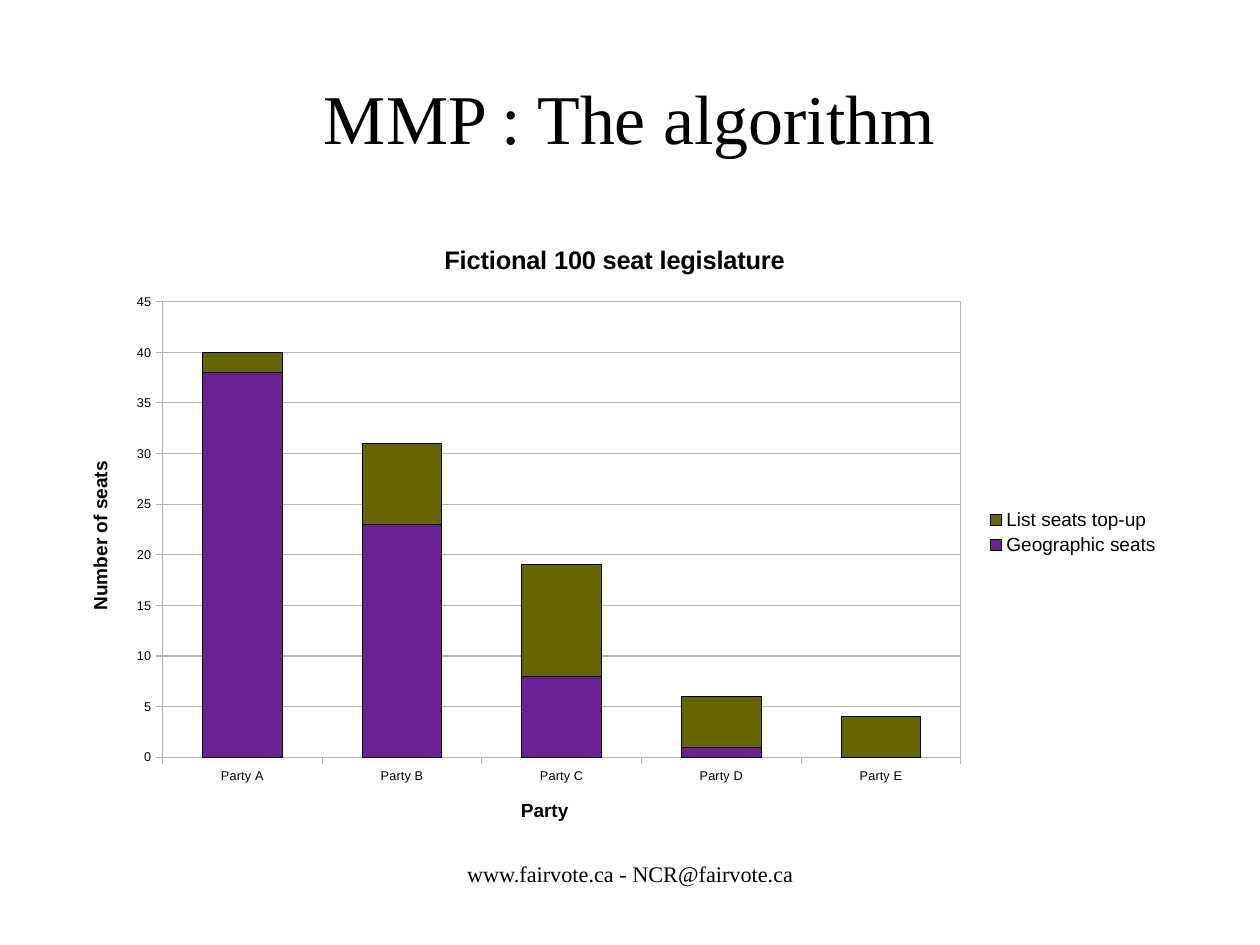
from lxml.etree import SubElement
from pptx import Presentation
from pptx.chart.data import CategoryChartData as Data
from pptx.dml.color import RGBColor
from pptx.enum.chart import XL_CHART_TYPE as Kind
from pptx.enum.chart import XL_LEGEND_POSITION as Side
from pptx.enum.chart import XL_TICK_MARK as Tick
from pptx.enum.text import MSO_ANCHOR as Anchor
from pptx.enum.text import PP_ALIGN as Align
from pptx.oxml import parse_xml
from pptx.oxml.ns import nsdecls, qn
from pptx.util import Inches, Pt

BLACK = RGBColor(0x00, 0x00, 0x00)
GREY = RGBColor(0xB3, 0xB3, 0xB3)
PURPLE = RGBColor(0x6B, 0x23, 0x94)
OLIVE = RGBColor(0x66, 0x66, 0x00)

PARTIES = ["Party A", "Party B", "Party C", "Party D", "Party E"]
SEATS = [
    ("Geographic seats", [38, 23, 8, 1, 0], PURPLE),
    ("List seats top-up", [2, 8, 11, 5, 4], OLIVE),
]


def set_font(font, size, name="Arial", bold=False):
    font.name, font.size, font.bold = name, Pt(size), bold
    font.color.rgb = BLACK


def set_line(line, color):
    line.color.rgb = color
    line.width = Pt(0)


def add_text(slide, box, text, size, anchor):
    frame = slide.shapes.add_textbox(*map(Inches, box)).text_frame
    frame.word_wrap = True
    frame.vertical_anchor = anchor
    frame.margin_left = frame.margin_right = 0
    frame.margin_top = frame.margin_bottom = 0
    par = frame.paragraphs[0]
    par.text = text
    par.alignment = Align.CENTER
    set_font(par.font, size, "Times New Roman")


def set_title(title, text, size):
    title.text_frame.text = text
    set_font(title.text_frame.paragraphs[0].font, size, bold=True)


def set_place(node, follower, **parts):
    """Place a chart part by fractions of the chart area."""
    for old in node.findall(qn("c:layout")):
        node.remove(old)
    layout = parse_xml(f"<c:layout {nsdecls('c')}/>")
    manual = SubElement(layout, qn("c:manualLayout"))
    if "w" in parts:
        SubElement(manual, qn("c:layoutTarget")).set("val", "inner")
    for key in ("x", "y"):
        SubElement(manual, qn(f"c:{key}Mode")).set("val", "edge")
    for key, val in parts.items():
        SubElement(manual, qn(f"c:{key}")).set("val", str(val))
    node.find(qn(follower)).addprevious(layout)


def set_axis(axis, text):
    set_title(axis.axis_title, text, 12)
    set_font(axis.tick_labels.font, 8)
    axis.major_tick_mark = Tick.OUTSIDE
    axis.minor_tick_mark = Tick.NONE
    set_line(axis.format.line, GREY)


def arrange(chart):
    root = chart.element
    plot = root.xpath(".//c:plotArea")[0]
    set_place(plot, "c:barChart", x=0.09, y=0.13, w=0.72, h=0.73)
    # Grey frame around the plot
    plot.append(parse_xml(
        f"<c:spPr {nsdecls('c', 'a')}><a:noFill/><a:ln w='0'><a:solidFill>"
        f"<a:srgbClr val='{GREY}'/></a:solidFill></a:ln></c:spPr>"))
    # Titles: chart, category axis, value axis
    spots = [(0.34, 0.03), (0.41, 0.92), (0.02, 0.38)]
    for node, (x, y) in zip(root.xpath(".//c:title"), spots):
        set_place(node, "c:overlay", x=x, y=y)
    body = root.xpath(".//c:valAx/c:title//a:bodyPr")[0]
    body.set("rot", "-5400000")
    body.set("vert", "horz")


def add_seats(slide, box):
    data = Data()
    data.categories = PARTIES
    for name, vals, _ in SEATS:
        data.add_series(name, vals)
    chart = slide.shapes.add_chart(
        Kind.COLUMN_STACKED, *map(Inches, box), data).chart
    set_font(chart.font, 10)
    set_title(chart.chart_title, "Fictional 100 seat legislature", 16)

    # Columns
    plot = chart.plots[0]
    plot.gap_width = plot.overlap = 100
    plot.vary_by_categories = False
    for series, (_, _, color) in zip(plot.series, SEATS):
        series.format.fill.solid()
        series.format.fill.fore_color.rgb = color
        set_line(series.format.line, BLACK)

    # Axes
    set_axis(chart.category_axis, "Party")
    axis = chart.value_axis
    set_axis(axis, "Number of seats")
    axis.minimum_scale, axis.maximum_scale, axis.major_unit = 0, 45, 5
    axis.has_major_gridlines = True
    set_line(axis.major_gridlines.format.line, GREY)

    # Legend
    chart.has_legend = True
    chart.legend.position = Side.RIGHT
    chart.legend.include_in_layout = False
    set_font(chart.legend.font, 12)
    arrange(chart)


def main():
    # Page of 28 by 21 centimetres
    deck = Presentation()
    deck.slide_width = Inches(28 / 2.54)
    deck.slide_height = Inches(21 / 2.54)
    slide = deck.slides.add_slide(deck.slide_layouts[6])

    # Heading, chart and footer
    add_text(slide, (0.55, 0.33, 9.92, 1.38), "MMP : The algorithm",
             44, Anchor.MIDDLE)
    add_seats(slide, (0.55, 1.93, 9.7, 5.46))
    add_text(slide, (3.77, 7.53, 3.49, 0.57),
             "www.fairvote.ca - NCR@fairvote.ca", 14, Anchor.TOP)
    deck.save("out.pptx")


if __name__ == "__main__":
    main()
